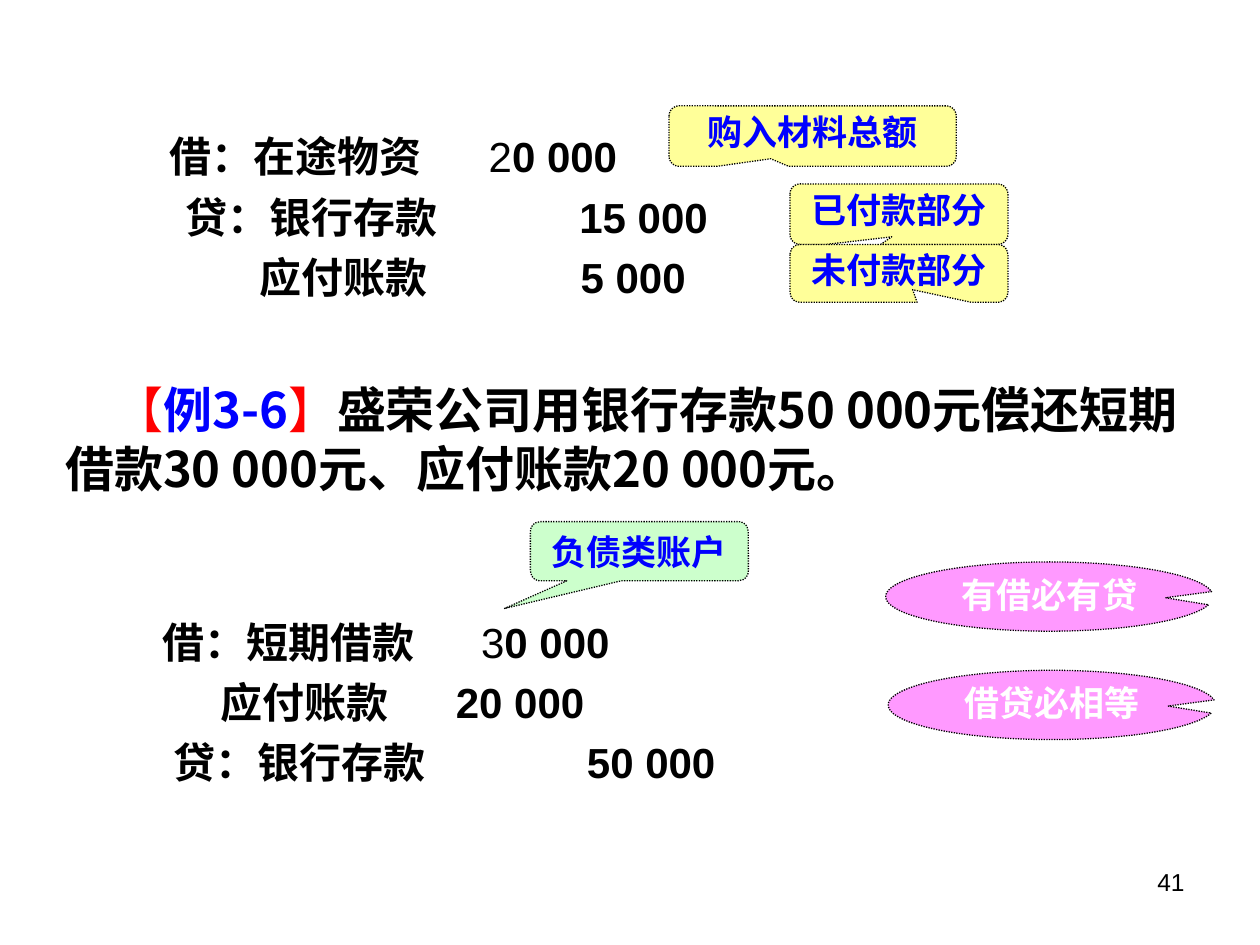
from lxml import etree
from pptx import Presentation
from pptx.dml.color import RGBColor
from pptx.enum.dml import MSO_LINE
from pptx.enum.shapes import MSO_SHAPE
from pptx.enum.text import MSO_ANCHOR, PP_ALIGN
from pptx.oxml.ns import qn
from pptx.util import Inches, Pt

ROUNDED = MSO_SHAPE.ROUNDED_RECTANGULAR_CALLOUT
OVAL = MSO_SHAPE.OVAL_CALLOUT
DOTTED = MSO_LINE.ROUND_DOT
TOP = MSO_ANCHOR.TOP
CENTER, RIGHT = PP_ALIGN.CENTER, PP_ALIGN.RIGHT

BLACK = RGBColor(0x00, 0x00, 0x00)
WHITE = RGBColor(0xFF, 0xFF, 0xFF)
RED = RGBColor(0xFF, 0x00, 0x00)
BLUE = RGBColor(0x00, 0x00, 0xFF)
GREEN = RGBColor(0xCC, 0xFF, 0xCC)
YELLOW = RGBColor(0xFF, 0xFF, 0x99)
PINK = RGBColor(0xFF, 0x99, 0xFF)
CHINESE_FONT = "Noto Sans CJK SC"


def add_run(paragraph, text, size=24, font="Arial", color=BLACK, bold=True):
    run = paragraph.add_run()
    run.text = text
    run.font.size = Pt(size)
    run.font.name = font
    run.font.bold = bold
    run.font.color.rgb = color
    east_asian = etree.SubElement(run.font._element, qn("a:ea"))
    east_asian.set("typeface", CHINESE_FONT)


def add_text_frame(left, top, width, height):
    box = slide.shapes.add_textbox(Inches(left), Inches(top), Inches(width), Inches(height))
    box.text_frame.word_wrap = True
    return box.text_frame


presentation = Presentation()
presentation.slide_width = Inches(10)
presentation.slide_height = Inches(7.5)
slide = presentation.slides.add_slide(presentation.slide_layouts[6])

# Journal entries: (label, label tab, plain digit, bold digits, amount tab)
entries = [
    (0.75, 0.84, 7.01, [
        ("借：在途物资", 0.5, "2", "0 000", 3.03),
        ("贷：银行存款", 0.62, "", "15 000", 3.75),
        ("应付账款", 1.21, "", "5 000", 3.76),
    ]),
    (0.59, 4.69, 8.16, [
        ("借：短期借款", 0.6, "3", "0 000", 3.13),
        ("应付账款", 1.06, "", "20 000", 2.93),
        ("贷：银行存款", 0.69, "", "50 000", 3.97),
    ]),
]
for left, top, width, rows in entries:
    text_frame = add_text_frame(left, top, width, 1.98)
    text_frame.margin_top = Inches(0.12)
    for index, (label, label_tab, plain, digits, amount_tab) in enumerate(rows):
        paragraph = text_frame.paragraphs[0] if index == 0 else text_frame.add_paragraph()
        paragraph.line_spacing = Pt(34.5)
        tab_list = etree.SubElement(paragraph._p.get_or_add_pPr(), qn("a:tabLst"))
        for position in (label_tab, amount_tab):
            tab = etree.SubElement(tab_list, qn("a:tab"))
            tab.set("pos", str(Inches(position)))
            tab.set("algn", "l")
        add_run(paragraph, f"\t{label}\t")
        if plain:
            add_run(paragraph, plain, bold=False)
        add_run(paragraph, digits)

# Example statement
text_frame = add_text_frame(0.42, 2.89, 9.17, 1.19)
text_frame.margin_top = Inches(0.12)
paragraph = text_frame.paragraphs[0]
paragraph.line_spacing = Pt(33.7)
paragraph._p.get_or_add_pPr().set("indent", str(Inches(0.39)))
statement = [
    ("【", RED, False),
    ("例3-6", BLUE, True),
    ("】", RED, False),
    ("盛荣公司用银行存款50 000元偿还短期借款30 000元、应付账款20 000元。", BLACK, True),
]
for text, color, bold in statement:
    add_run(paragraph, text, size=28, font=CHINESE_FONT, color=color, bold=bold)

# Callouts: text, kind, place, adjustments, fill, text colour, line spacing
callouts = [
    ("负债类账户", ROUNDED, (4.21, 4.14, 1.73, 0.47), (-0.619, 0.967, 0.167), GREEN, BLUE, 1.0),
    ("已付款部分", ROUNDED, (6.27, 1.46, 1.73, 0.48), (-0.033, 0.375, 0.167), YELLOW, BLUE, 0.9),
    ("未付款部分", ROUNDED, (6.27, 1.94, 1.73, 0.46), (0.063, 0.282, 0.167), YELLOW, BLUE, 0.9),
    ("购入材料总额", ROUNDED, (5.31, 0.84, 2.28, 0.48), (-0.146, 0.375, 0.167), YELLOW, BLUE, 0.9),
    ("有借必有贷", OVAL, (7.03, 4.46, 2.6, 0.55), (0.354, 0.017), PINK, WHITE, 0.9),
    ("借贷必相等", OVAL, (7.05, 5.32, 2.6, 0.55), (0.354, 0.016), PINK, WHITE, 0.9),
]
for text, kind, place, adjustments, fill, color, spacing in callouts:
    shape = slide.shapes.add_shape(kind, *[Inches(length) for length in place])
    for index, value in enumerate(adjustments):
        shape.adjustments[index] = value
    shape.shadow.inherit = False
    shape.fill.solid()
    shape.fill.fore_color.rgb = fill
    shape.line.color.rgb = BLACK
    shape.line.width = Pt(0.75)
    shape.line.dash_style = DOTTED
    shape.text_frame.word_wrap = True
    shape.text_frame.vertical_anchor = TOP
    paragraph = shape.text_frame.paragraphs[0]
    paragraph.alignment = CENTER
    paragraph.line_spacing = spacing
    add_run(paragraph, text, size=20, font="Times New Roman", color=color)

# Slide number
paragraph = add_text_frame(7.17, 6.83, 2.33, 0.52).paragraphs[0]
paragraph.alignment = RIGHT
add_run(paragraph, "41", size=14, bold=False)

presentation.save("out.pptx")
